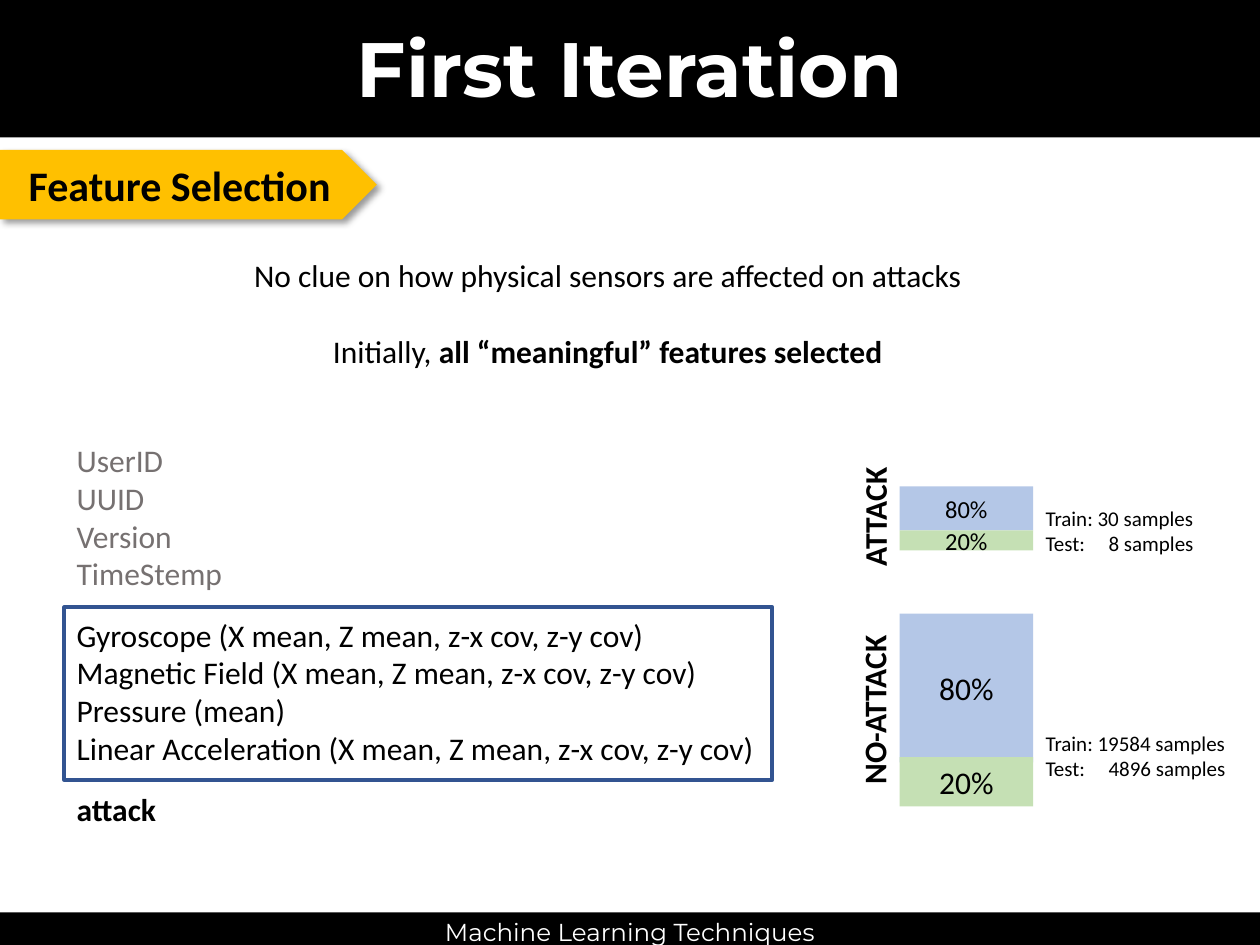
from lxml import etree
from pptx import Presentation
from pptx.dml.color import RGBColor
from pptx.enum.shapes import MSO_SHAPE as SHAPE
from pptx.enum.text import MSO_ANCHOR as ANCHOR, PP_ALIGN as ALIGN
from pptx.oxml import parse_xml
from pptx.oxml.ns import nsdecls, qn
from pptx.util import Inches, Pt

BLACK = RGBColor(0x00, 0x00, 0x00)
WHITE = RGBColor(0xFF, 0xFF, 0xFF)
GRAY = RGBColor(0x76, 0x71, 0x71)
GOLD = RGBColor(0xFF, 0xC0, 0x00)
BLUE = RGBColor(0x32, 0x54, 0x91)
TRAIN_BLUE = RGBColor(0xB4, 0xC7, 0xE7)
TEST_GREEN = RGBColor(0xC5, 0xE0, 0xB4)

prs = Presentation()
prs.slide_width = Inches(10)
prs.slide_height = Inches(7.5)
slide = prs.slides.add_slide(prs.slide_layouts[6])


def add_block(left, top, width, height, fill=None, kind=SHAPE.RECTANGLE):
    block = slide.shapes.add_shape(kind, Inches(left), Inches(top), Inches(width), Inches(height))
    block.shadow.inherit = False
    block.line.fill.background()
    if fill is None:
        block.fill.background()
    else:
        block.fill.solid()
        block.fill.fore_color.rgb = fill
    block.text_frame.vertical_anchor = ANCHOR.MIDDLE
    return block


def add_line(frame, runs, size, color=BLACK, align=ALIGN.LEFT, font="Calibri", gap=0):
    first = frame.paragraphs[0]
    paragraph = frame.add_paragraph() if first.runs else first
    paragraph.alignment = align
    paragraph.space_before = Pt(gap)
    for text, bold in runs:
        run = paragraph.add_run()
        run.text = text
        run.font.name = font
        run.font.size = Pt(size)
        run.font.bold = bold
        run.font.color.rgb = color
    return paragraph


add_block(0, -0.01, 10, 1.1, BLACK)
title = slide.shapes.add_textbox(0, Inches(0.11), Inches(10), Inches(0.94)).text_frame
title.word_wrap = True
title.vertical_anchor = ANCHOR.MIDDLE
add_line(title, [("First Iteration", True)], 44, WHITE, ALIGN.CENTER, "Montserrat").line_spacing = 0.9

add_block(0, 7.24, 10, 0.32, BLACK)
footer = slide.shapes.add_textbox(0, Inches(7.23), Inches(10), Inches(0.34)).text_frame
footer.word_wrap = True
add_line(footer, [("Machine Learning Techniques", False)], 14, WHITE, ALIGN.CENTER, "Montserrat")

features = slide.shapes.add_textbox(Inches(0.51), Inches(3.45), Inches(5.75), Inches(3.32)).text_frame
features.word_wrap = True
feature_groups = [
    (["UserID", "UUID", "Version", "TimeStemp"], GRAY, False),
    ([
        "Gyroscope (X mean, Z mean, z-x cov, z-y cov)",
        "Magnetic Field (X mean, Z mean, z-x cov, z-y cov)",
        "Pressure (mean)",
        "Linear Acceleration (X mean, Z mean, z-x cov, z-y cov)",
    ], BLACK, False),
    (["attack"], BLACK, True),
]
for group_index, (names, color, bold) in enumerate(feature_groups):
    for name_index, name in enumerate(names):
        gap = 13.4 if group_index and name_index == 0 else 0
        add_line(features, [(name, bold)], 18, color, gap=gap)

selected_frame = add_block(0.51, 4.82, 5.62, 1.37)
selected_frame.line.color.rgb = BLUE
selected_frame.line.width = Pt(2.25)

section = add_block(0, 1.19, 2.99, 0.55, GOLD, SHAPE.PENTAGON)
add_line(section.text_frame, [("Feature Selection", True)], 24, align=ALIGN.CENTER)
section.element.spPr.find(qn("a:effectLst")).append(parse_xml(
    f'<a:outerShdw {nsdecls("a")} blurRad="{Pt(4)}" dist="{Pt(3)}" dir="2700000" algn="tl" rotWithShape="0">'
    '<a:srgbClr val="000000"><a:alpha val="40000"/></a:srgbClr></a:outerShdw>'))

intro = slide.shapes.add_textbox(Inches(1.71), Inches(1.98), Inches(6.23), Inches(1.01)).text_frame
intro.word_wrap = True
add_line(intro, [("No clue on how physical sensors are affected on attacks", False)], 18, align=ALIGN.CENTER)
add_line(intro, [("Initially, ", False), ("all “meaningful” features selected", True)], 18,
         align=ALIGN.CENTER, gap=22)

splits = [
    ("ATTACK", (6.41, 3.86, 1.06), (3.86, 0.35), (4.21, 0.16), 14, (3.96, 1.39), "30", "8"),
    ("NO-ATTACK", (6.24, 5.43, 1.39), (4.87, 1.18), (6.01, 0.39), 18, (5.75, 1.65), "19584", "4896"),
]
for label, label_at, train_at, test_at, size, counts_at, train_count, test_count in splits:
    for share, (top, height), fill in [("80%", train_at, TRAIN_BLUE), ("20%", test_at, TEST_GREEN)]:
        bar = add_block(7.14, top, 1.06, height, fill)
        add_line(bar.text_frame, [(share, False)], size, align=ALIGN.CENTER)

    left, top, width = label_at
    class_label = slide.shapes.add_textbox(Inches(left), Inches(top), Inches(width), Inches(0.4))
    class_label.rotation = 270
    class_label.text_frame.word_wrap = True
    add_line(class_label.text_frame, [(label, True)], 18)

    top, width = counts_at
    counts = slide.shapes.add_textbox(Inches(8.2), Inches(top), Inches(width), Inches(0.5)).text_frame
    counts.word_wrap = False
    add_line(counts, [(f"Train: {train_count} samples", False)], 12)
    test_line = add_line(counts, [(f"Test:\t{test_count} samples", False)], 12)
    tabs = etree.SubElement(test_line._p.get_or_add_pPr(), qn("a:tabLst"))
    etree.SubElement(tabs, qn("a:tab"), pos=str(Inches(0.5)), algn="l")

prs.save("out.pptx")
